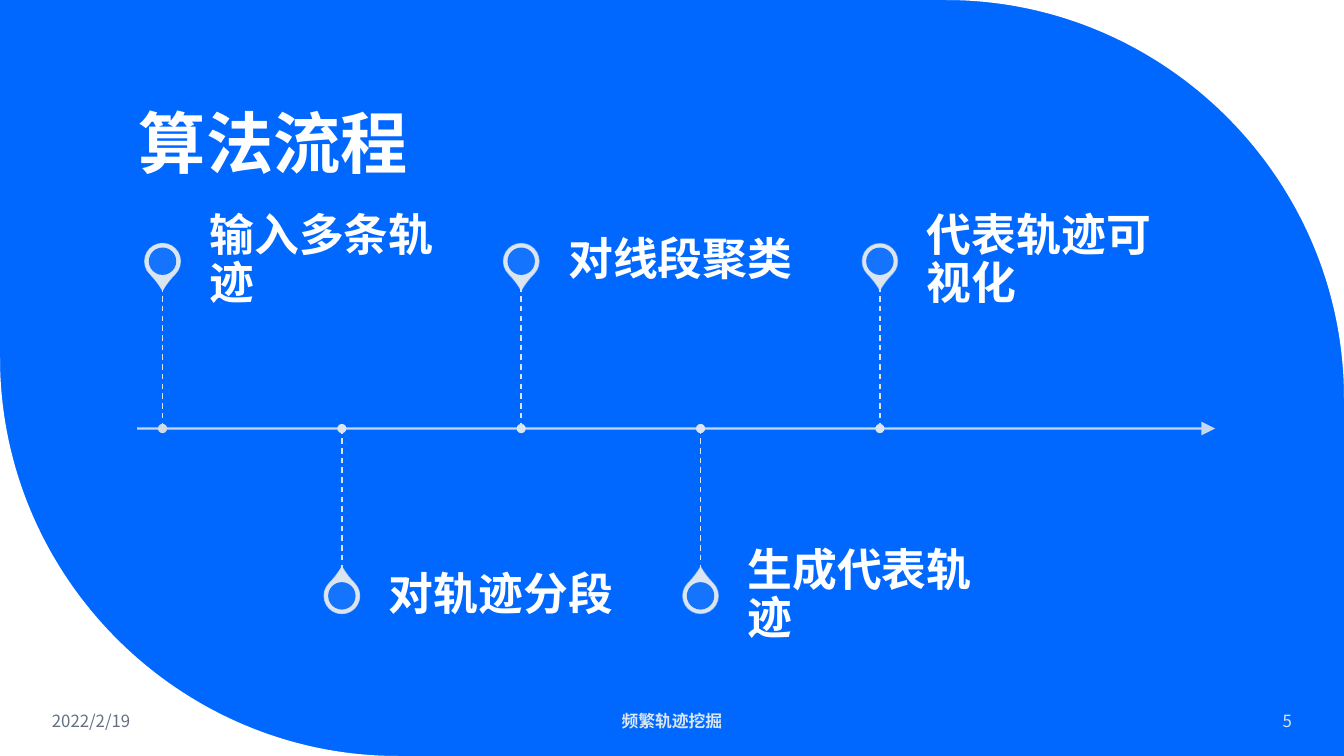
from lxml import etree
from pptx import Presentation
from pptx import util as u
from pptx.dml.color import RGBColor
from pptx.enum import dml, shapes, text
from pptx.oxml.ns import qn

Pt = u.Pt
FONT = "Noto Sans CJK SC"
COLORS = {"blue": "0068FF", "white": "FFFFFF", "pale": "DAE5EF",
          "first_dot": "D0DBE4", "date": "637183"}
SLIDE_W, SLIDE_H = 960, 540
ARC_PULL = 0.55  # control point distance of a quarter circle, in radii
STEPS = ["输入多条轨迹", "对轨迹分段", "对线段聚类", "生成代表轨迹", "代表轨迹可视化"]


def rgb(name):
    return RGBColor.from_string(COLORS[name])


def set_alpha(fill_parent, percent):
    """Make the solid fill below the given XML element partly transparent."""
    color = fill_parent.find(qn("a:solidFill"))[0]
    etree.SubElement(color, qn("a:alpha")).set("val", str(percent * 1000))


def write(shape, words, size, color="white", bold=False, align="LEFT",
          anchor="MIDDLE", line_spacing=None, insets=None):
    frame = shape.text_frame
    frame.word_wrap = True
    frame.auto_size = text.MSO_AUTO_SIZE.NONE
    frame.vertical_anchor = getattr(text.MSO_ANCHOR, anchor)
    if insets:
        (frame.margin_left, frame.margin_top,
         frame.margin_right, frame.margin_bottom) = map(Pt, insets)
    paragraph = frame.paragraphs[0]
    paragraph.alignment = getattr(text.PP_ALIGN, align)
    if line_spacing:
        paragraph.line_spacing = line_spacing
    run = paragraph.add_run()
    run.text = words
    run.font.size, run.font.bold, run.font.name = Pt(size), bold, FONT
    run.font.color.rgb = rgb(color)
    etree.SubElement(run._r.rPr, qn("a:ea")).set("typeface", FONT)


def add_text(slide, box, words, **style):
    write(slide.shapes.add_textbox(*map(Pt, box)), words, **style)


def paint(shape, color):
    shape.shadow.inherit = False
    shape.fill.solid()
    shape.fill.fore_color.rgb = rgb(color)
    shape.line.fill.background()


def add_filled(slide, kind, center, size, color):
    x, y = center
    shape = slide.shapes.add_shape(
        kind, Pt(x - size / 2), Pt(y - size / 2), Pt(size), Pt(size))
    paint(shape, color)
    return shape


def add_line(slide, start, end, width):
    line = slide.shapes.add_connector(
        shapes.MSO_CONNECTOR.STRAIGHT, *map(Pt, (*start, *end)))
    line.line.color.rgb = rgb("pale")
    line.line.width = Pt(width)
    etree.SubElement(line._element.spPr, qn("a:effectLst"))
    return line


def add_corner(slide, corner, arc_start, arc_end):
    """Fill the area between a slide corner and a quarter circle."""
    builder = slide.shapes.build_freeform(*map(Pt, corner), scale=1.0)
    builder.add_line_segments(
        [tuple(map(Pt, point)) for point in (arc_start, arc_end)], close=True)
    shape = builder.convert_to_shape()
    paint(shape, "white")

    points = list(shape._element.spPr.iter(qn("a:pt")))
    (corner_x, corner_y), *ends = [
        (int(point.get("x")), int(point.get("y"))) for point in points]
    curve = points[-1].getparent()
    curve.tag = qn("a:cubicBezTo")
    for index, (x, y) in enumerate(ends):
        control = etree.Element(qn("a:pt"))
        control.set("x", str(round(x + ARC_PULL * (corner_x - x))))
        control.set("y", str(round(y + ARC_PULL * (corner_y - y))))
        curve.insert(index, control)


def add_backdrop(slide, box):
    left, top, width, height = box
    right, bottom, radius = left + width, top + height, 284.4
    slide.background.fill.solid()
    slide.background.fill.fore_color.rgb = rgb("blue")
    add_corner(slide, (right, top), (right - radius, top), (right, top + radius))
    add_corner(slide, (left, bottom), (left + radius, bottom),
               (left, bottom - radius))


def add_title(slide, box, words):
    title = slide.shapes.title
    title.left, title.top, title.width, title.height = map(Pt, box)
    write(title, words, size=48, bold=True, anchor="BOTTOM", line_spacing=0.9)


def add_step(slide, index, x, axis_y, words):
    """Place one pin with its label, above the axis for even indexes."""
    side = -1 if index % 2 == 0 else 1
    pin_y = axis_y + side * 119.5
    pin = add_filled(slide, shapes.MSO_SHAPE.TEAR, (x, pin_y), 25.2, "pale")
    pin.adjustments[0] = 1.15
    pin.rotation = 135 if side < 0 else 315
    pin.line.color.rgb = rgb("pale")
    pin.line.width = Pt(1)
    set_alpha(pin.line._get_or_add_ln(), 90 - 10 * index)

    hole = add_filled(slide, shapes.MSO_SHAPE.OVAL, (x, pin_y), 19.6, "blue")
    set_alpha(hole._element.spPr, 90)
    add_text(slide, (x + 33.6, pin_y - 18, 182, 36), words, size=32, bold=True,
             line_spacing=0.9, insets=(0, 0, 16, 0))

    stem_ends = sorted([(x, axis_y), (x, axis_y + side * 101.5)])
    stem = add_line(slide, *stem_ends, width=1)
    stem.line.dash_style = dml.MSO_LINE.DASH
    add_filled(slide, shapes.MSO_SHAPE.OVAL, (x, axis_y), 6.6,
               "pale" if index else "first_dot")


def add_timeline(slide, box, steps):
    left, top, width, height = box
    axis_y = top + height / 2
    axis = add_line(slide, (left, axis_y), (left + width, axis_y), 1.5)
    outline = axis.line._get_or_add_ln()
    set_alpha(outline, 90)
    head = etree.SubElement(outline, qn("a:tailEnd"))
    for name, value in (("type", "triangle"), ("w", "lg"), ("len", "lg")):
        head.set(name, value)
    for index, words in enumerate(steps):
        add_step(slide, index, left + 18.1 + 128.1 * index, axis_y, words)


def add_footer(slide, box):
    left, top, width, height = box
    add_text(slide, (left, top, 134, height), "2022/2/19", size=12, color="date")
    add_text(slide, (left + (width - 324) / 2, top, 324, height), "频繁轨迹挖掘",
             size=12, color="pale", bold=True, align="CENTER")
    add_text(slide, (left + width - 130, top, 130, height), "5",
             size=12, color="pale", align="RIGHT")


def main():
    deck = Presentation()
    deck.slide_width, deck.slide_height = Pt(SLIDE_W), Pt(SLIDE_H)
    slide = deck.slides.add_slide(deck.slide_layouts[5])
    add_backdrop(slide, (0, 0, SLIDE_W, SLIDE_H))
    add_title(slide, (92, 30, 770, 104.5), "算法流程")
    add_timeline(slide, (98, 168, 770, 276.2), STEPS)
    add_footer(slide, (30, 500.5, 900, 29))
    deck.save("out.pptx")


if __name__ == "__main__":
    main()
